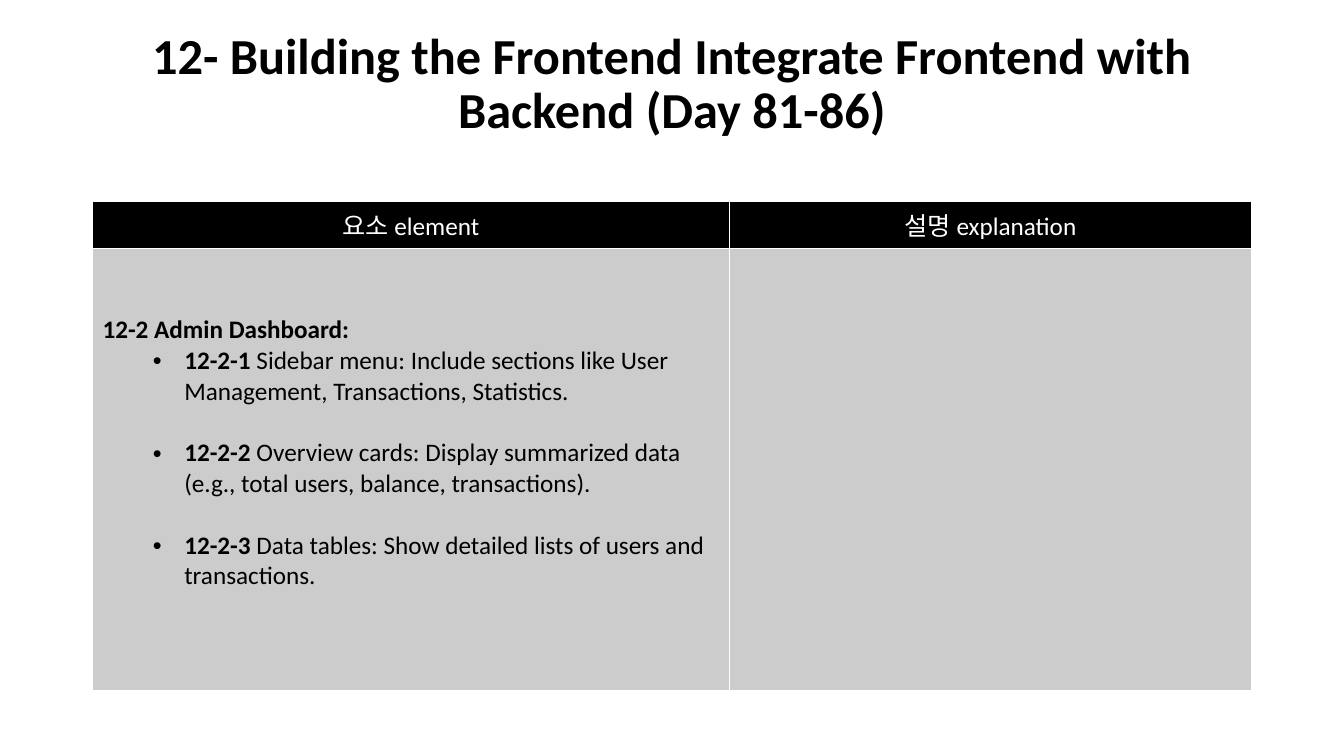
from lxml.etree import SubElement
from pptx import Presentation
from pptx.dml.color import RGBColor
from pptx.enum.text import MSO_ANCHOR, MSO_AUTO_SIZE, PP_ALIGN
from pptx.oxml.ns import qn
from pptx.util import Cm, Pt

COLORS = {"black": "000000", "white": "FFFFFF", "grey": "CCCCCC"}
HEADERS = ["요소 element", "설명 explanation"]
HEADING = "12-2 Admin Dashboard:"
ITEMS = [
    ("12-2-1", " Sidebar menu: Include sections like User Management, Transactions, Statistics."),
    ("12-2-2", " Overview cards: Display summarized data (e.g., total users, balance, transactions)."),
    ("12-2-3", " Data tables: Show detailed lists of users and transactions."),
]


class Deck:
    """Holds the style and the current slide."""

    def __init__(self):
        """Start a widescreen deck with one title-only slide."""
        self.prs = Presentation()
        self.prs.slide_width, self.prs.slide_height = Cm(33.87), Cm(19.05)
        self.s = self.prs.slides.add_slide(self.prs.slide_layouts[5])
        self.font = "Calibri"

    def style(self, r, size, color, bold=False):
        """Format one run."""
        r.font.name, r.font.size, r.font.bold = self.font, Pt(size), bold
        r.font.color.rgb = RGBColor.from_string(COLORS[color])

    def title(self, text):
        """Fill and place the title placeholder."""
        sp = self.s.shapes.title
        sp.left, sp.top, sp.width, sp.height = Cm(2.33), Cm(1.01), Cm(29.21), Cm(3.68)
        tf = sp.text_frame
        tf.text = text
        tf.word_wrap, tf.auto_size = True, MSO_AUTO_SIZE.NONE
        tf.vertical_anchor, tf.margin_bottom = MSO_ANCHOR.MIDDLE, Cm(1.52)
        p = tf.paragraphs[0]
        p.alignment, p.line_spacing = PP_ALIGN.CENTER, 0.9
        self.style(p.runs[0], 36, "black", True)

    def cell(self, cell, fill):
        """Give a cell white borders and a plain fill."""
        tcPr = cell._tc.get_or_add_tcPr()
        for side in ("a:lnL", "a:lnR", "a:lnT", "a:lnB"):
            ln = SubElement(tcPr, qn(side), w=str(Pt(1)))
            SubElement(SubElement(ln, qn("a:solidFill")), qn("a:srgbClr"), val=COLORS["white"])
        cell.fill.solid()
        cell.fill.fore_color.rgb = RGBColor.from_string(COLORS[fill])

    def table(self, headers, widths, heights):
        """Add a table with a black header row and return it."""
        table = self.s.shapes.add_table(
            len(heights), len(widths), Cm(2.33), Cm(5.08), Cm(sum(widths)), Cm(sum(heights))).table
        for col, width in zip(table.columns, widths):
            col.width = Cm(width)
        for row, height, fill in zip(table.rows, heights, ("black", "grey")):
            row.height = Cm(height)
            for cell in row.cells:
                self.cell(cell, fill)
        for cell, text in zip(table.rows[0].cells, headers):
            p = cell.text_frame.paragraphs[0]
            p.text, p.alignment = text, PP_ALIGN.CENTER
            self.style(p.runs[0], 18, "white")
        return table

    def outline(self, cell, heading, items):
        """Write a bold heading and its bulleted items into a cell."""
        cell.margin_top = Cm(1.68)
        tf = cell.text_frame
        tf.text = heading
        self.style(tf.paragraphs[0].runs[0], 18, "black", True)
        for number, text in items:
            p = tf.add_paragraph()
            p.text, p.level = number, 1
            p.space_after = Pt(22)
            pPr = p._p.get_or_add_pPr()
            pPr.set("marL", str(Cm(2.06)))
            pPr.set("indent", str(-Cm(0.79)))
            SubElement(pPr, qn("a:buFont"), typeface="Arial")
            SubElement(pPr, qn("a:buChar"), char="•")
            p.add_run().text = text
            for r, bold in zip(p.runs, (True, False)):
                self.style(r, 18, "black", bold)


def main():
    """Build the slide."""
    deck = Deck()
    deck.title("12- Building the Frontend Integrate Frontend with Backend (Day 81-86)")
    table = deck.table(HEADERS, widths=(16.05, 13.16), heights=(1.07, 11.15))
    deck.outline(table.cell(1, 0), HEADING, ITEMS)
    deck.prs.save("out.pptx")


if __name__ == "__main__":
    main()
